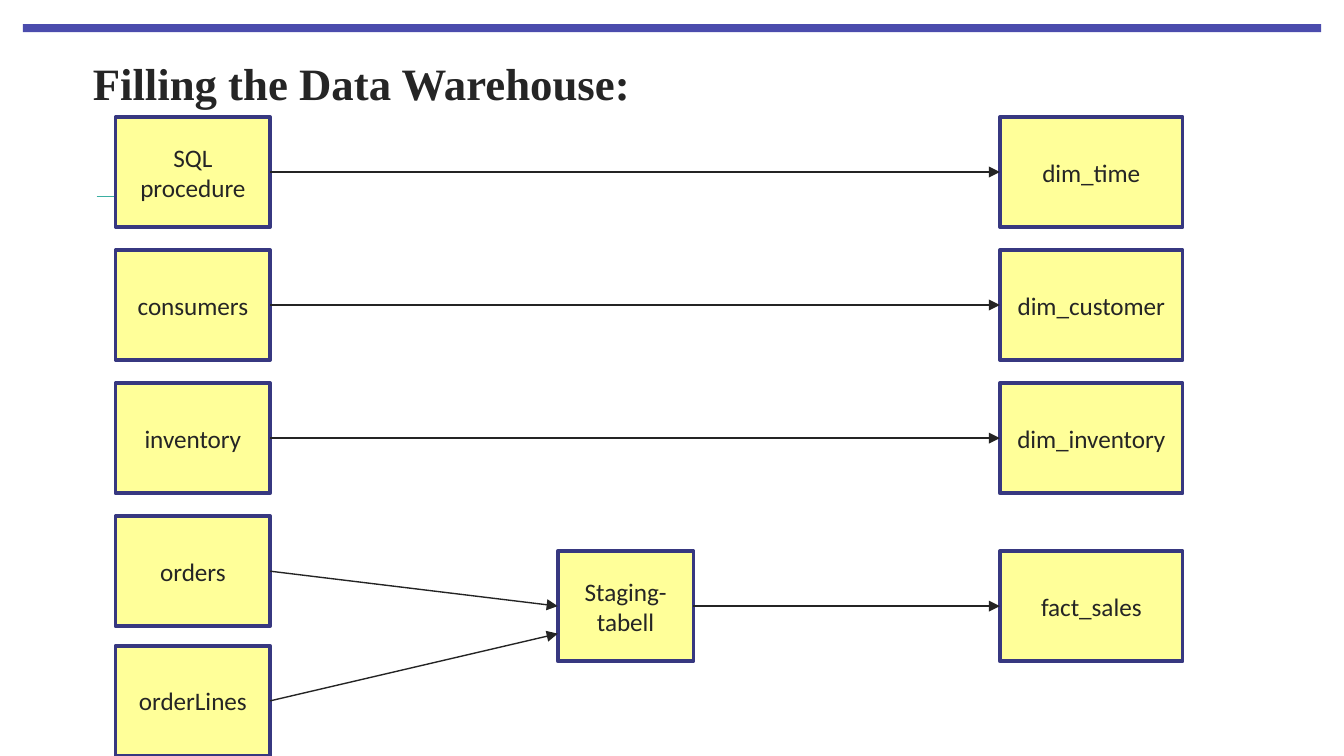
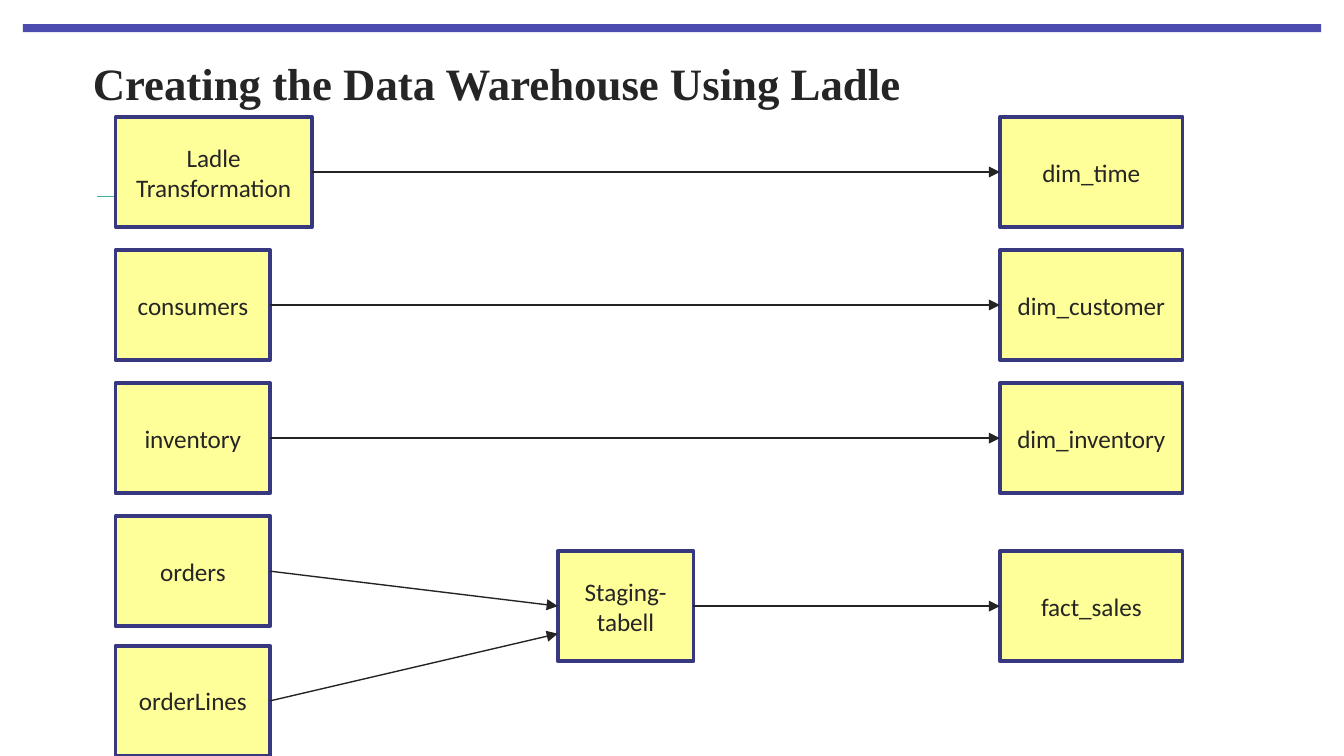
"""Build two slides that show how source tables fill a data warehouse."""
from dataclasses import dataclass

from lxml.etree import SubElement
from pptx import Presentation
from pptx.dml.color import RGBColor
from pptx.enum.shapes import MSO_CONNECTOR as Connector, MSO_SHAPE as Preset
from pptx.enum.text import MSO_ANCHOR as Anchor, MSO_AUTO_SIZE as AutoSize, PP_ALIGN as Align
from pptx.oxml.ns import qn
from pptx.util import Inches, Pt

SLIDE_WIDTH = 10
SLIDE_HEIGHT = SLIDE_WIDTH * 9 / 16
LEFT_SIDE, RIGHT_SIDE = 1, 3


@dataclass(frozen=True)
class Theme:
    """Colours, fonts and type sizes of the deck."""
    band: str = "4B4CAD"
    accent: str = "3BAFA2"
    text: str = "252525"
    arrow: str = "242424"
    box_fill: str = "FFFF99"
    box_line: str = "373880"
    title_font: str = "Times New Roman"
    body_font: str = "Calibri"
    title_size: float = 24
    body_size: float = 13.5
    box_weight: float = 2
    arrow_weight: float = 0.75
    accent_weight: float = 0.5


@dataclass(frozen=True)
class Column:
    """Left edge and width of a column of boxes."""
    left: float
    width: float


@dataclass(frozen=True)
class Node:
    """A labelled box in one column and row."""
    label: str
    column: Column
    top: float


@dataclass(frozen=True)
class Flow:
    """An arrow between two named nodes, entering at a share of the height."""
    start: str
    end: str
    entry: float = 0.5


@dataclass(frozen=True)
class Diagram:
    """A slide title with the first source, which differs per slide."""
    title: str
    loader: str
    loader_width: float


THEME = Theme()
BOX_HEIGHT = 0.82
FIRST_ROW, ROW_PITCH = 0.87, 0.99
ROWS = [FIRST_ROW + ROW_PITCH * index for index in range(4)]
ROWS.append(SLIDE_HEIGHT - BOX_HEIGHT)
STAGING_ROW = 4.1
SOURCE = Column(0.86, 1.15)
STAGING = Column(4.15, 1.01)
TARGET = Column(7.44, 1.36)

SOURCES = ("consumers", "inventory", "orders", "orderLines")
DIMENSIONS = ("dim_time", "dim_customer", "dim_inventory")
STAGING_LABEL, FACT_LABEL = "Staging-tabell", "fact_sales"
SHARED_NODES = [
    *(Node(label, SOURCE, top) for label, top in zip(SOURCES, ROWS[1:])),
    *(Node(label, TARGET, top) for label, top in zip(DIMENSIONS, ROWS)),
    Node(STAGING_LABEL, STAGING, STAGING_ROW),
    Node(FACT_LABEL, TARGET, STAGING_ROW),
]
SHARED_FLOWS = [
    *(Flow(start, end) for start, end in zip(SOURCES, DIMENSIONS[1:])),
    Flow("orders", STAGING_LABEL),
    Flow("orderLines", STAGING_LABEL, entry=0.75),
    Flow(STAGING_LABEL, FACT_LABEL),
]
DIAGRAMS = (
    Diagram("Filling the Data Warehouse:", "SQL procedure", SOURCE.width),
    Diagram("Creating the Data Warehouse Using Ladle", "Ladle Transformation", 1.46),
)


def add_span(para, text: str, font: str, size: float, bold: bool = False) -> None:
    """Add one formatted run to a paragraph."""
    span = para.add_run()
    span.text = text
    span.font.name = font
    span.font.size = Pt(size)
    span.font.bold = bold
    span.font.color.rgb = RGBColor.from_string(THEME.text)


def add_block(page, left: float, top: float, width: float, height: float, fill: str):
    """Add a plain filled rectangle without an outline."""
    block = page.shapes.add_shape(
        Preset.RECTANGLE, Inches(left), Inches(top), Inches(width), Inches(height))
    block.shadow.inherit = False
    block.fill.solid()
    block.fill.fore_color.rgb = RGBColor.from_string(fill)
    block.line.fill.background()
    return block


def add_line(page, start: tuple, end: tuple, color: str, weight: float):
    """Add a straight line without a shadow."""
    line = page.shapes.add_connector(
        Connector.STRAIGHT, *(Inches(value) for value in (*start, *end)))
    line.line.color.rgb = RGBColor.from_string(color)
    line.line.width = Pt(weight)
    SubElement(line._element.spPr, qn("a:effectLst"))
    return line


def add_frame(page, title: str) -> None:
    """Draw the top band, the accent line and the title."""
    add_block(page, 0.17, 0.18, SLIDE_WIDTH - 2 * 0.17, 0.06, THEME.band)
    add_line(page, (0.72, 1.46), (1.07, 1.46), THEME.accent, THEME.accent_weight)
    box = page.shapes.title
    box.left, box.top = Inches(0.69), Inches(0.3)
    box.width, box.height = Inches(SLIDE_WIDTH - 2 * 0.69), Inches(0.63)
    frame = box.text_frame
    frame.auto_size = AutoSize.NONE
    frame.word_wrap = True
    frame.vertical_anchor = Anchor.MIDDLE
    frame.margin_left = frame.margin_right = frame.margin_top = frame.margin_bottom = 0
    para = frame.paragraphs[0]
    para.alignment = Align.LEFT
    add_span(para, title, THEME.title_font, THEME.title_size, bold=True)


def add_node(page, node: Node):
    """Draw a labelled box and return its shape."""
    box = add_block(page, node.column.left, node.top, node.column.width,
                    BOX_HEIGHT, THEME.box_fill)
    box.line.color.rgb = RGBColor.from_string(THEME.box_line)
    box.line.width = Pt(THEME.box_weight)
    frame = box.text_frame
    frame.word_wrap = True
    frame.vertical_anchor = Anchor.MIDDLE
    para = frame.paragraphs[0]
    para.alignment = Align.CENTER
    add_span(para, node.label, THEME.body_font, THEME.body_size)
    return box


def add_flow(page, flow: Flow, nodes: dict, boxes: dict) -> None:
    """Draw an arrow from one box to another, joined at side middles."""
    start, end = nodes[flow.start], nodes[flow.end]
    arrow = add_line(
        page,
        (start.column.left + start.column.width, start.top + BOX_HEIGHT / 2),
        (end.column.left, end.top + BOX_HEIGHT * flow.entry),
        THEME.arrow, THEME.arrow_weight)
    arrow.begin_connect(boxes[flow.start], RIGHT_SIDE)
    if flow.entry == 0.5:
        arrow.end_connect(boxes[flow.end], LEFT_SIDE)
    SubElement(arrow.line._get_or_add_ln(), qn("a:tailEnd"), type="triangle")


def add_diagram(deck, diagram: Diagram) -> None:
    """Add one slide with its boxes and arrows."""
    page = deck.slides.add_slide(deck.slide_layouts.get_by_name("Title Only"))
    add_frame(page, diagram.title)
    loader = Node(diagram.loader, Column(SOURCE.left, diagram.loader_width), FIRST_ROW)
    nodes = {node.label: node for node in (loader, *SHARED_NODES)}
    boxes = {label: add_node(page, node) for label, node in nodes.items()}
    for flow in (Flow(loader.label, DIMENSIONS[0]), *SHARED_FLOWS):
        add_flow(page, flow, nodes, boxes)


def main() -> None:
    """Build and save the deck."""
    deck = Presentation()
    deck.slide_width, deck.slide_height = Inches(SLIDE_WIDTH), Inches(SLIDE_HEIGHT)
    for diagram in DIAGRAMS:
        add_diagram(deck, diagram)
    deck.save("out.pptx")


if __name__ == "__main__":
    main()
